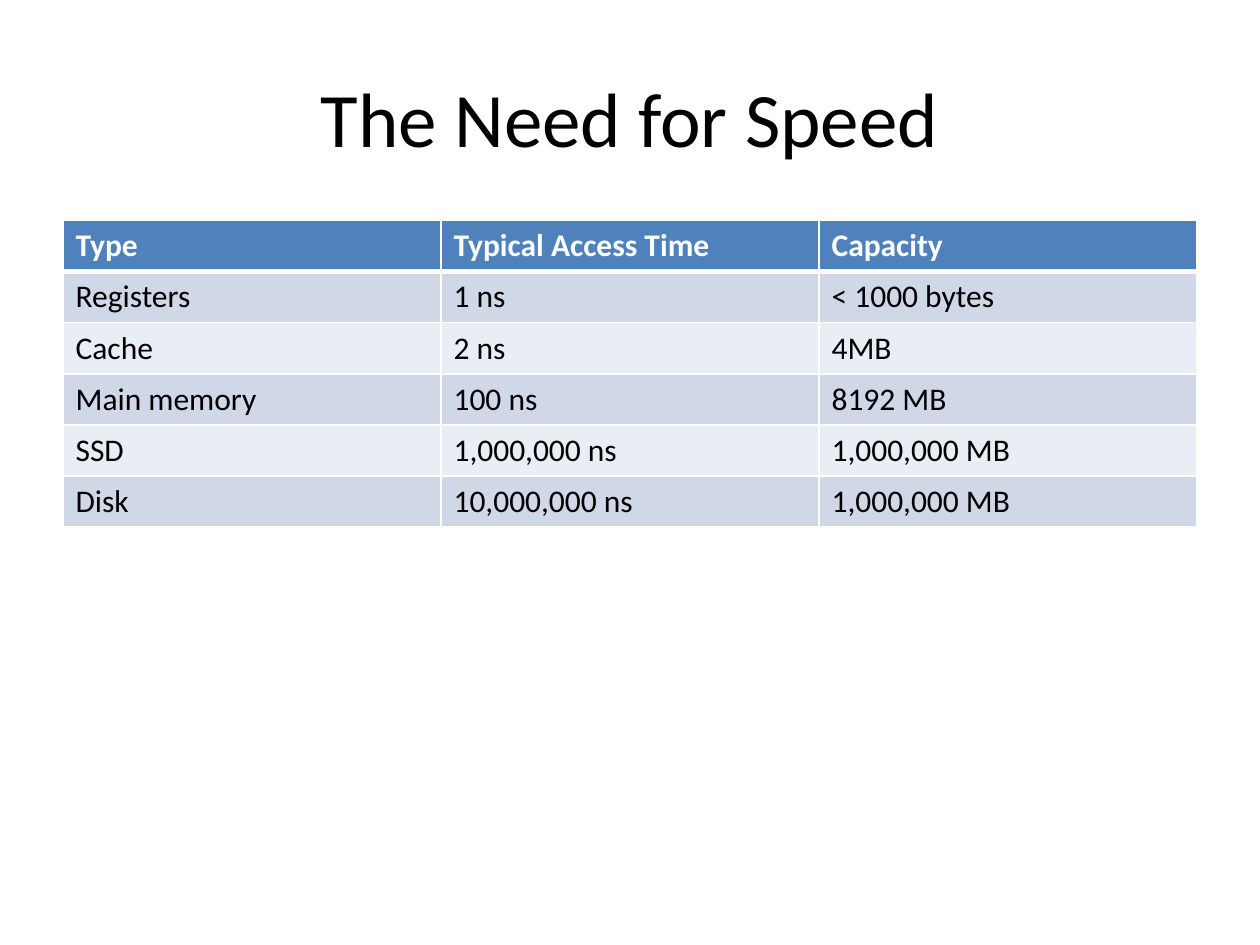
from lxml import etree
from pptx import Presentation
from pptx.dml.color import RGBColor
from pptx.enum.text import MSO_ANCHOR, PP_ALIGN
from pptx.oxml.ns import qn
from pptx.util import Inches, Pt

CENTER = PP_ALIGN.CENTER
MIDDLE = MSO_ANCHOR.MIDDLE
FONT = "Calibri"
COLORS = {
    "text": "000000",
    "header_text": "FFFFFF",
    "header": "4F81BD",
    "odd_row": "D0D8E8",
    "even_row": "E9EDF4",
    "border": "FFFFFF",
}
ROWS = [
    ("Type", "Typical Access Time", "Capacity"),
    ("Registers", "1 ns", "< 1000 bytes"),
    ("Cache", "2 ns", "4MB"),
    ("Main memory", "100 ns", "8192 MB"),
    ("SSD", "1,000,000 ns", "1,000,000 MB"),
    ("Disk", "10,000,000 ns", "1,000,000 MB"),
]


def add_span(para, text, size, color, bold=False):
    span = para.add_run()
    span.text = text
    span.font.name = FONT
    span.font.size = Pt(size)
    span.font.bold = bold
    span.font.color.rgb = RGBColor.from_string(COLORS[color])


def set_borders(cell, widths):
    """Draw the cell's borders; widths maps L, R, T, B (in that order) to points."""
    properties = cell._tc.get_or_add_tcPr()
    for index, (side, width) in enumerate(widths.items()):
        line = etree.Element(qn(f"a:ln{side}"), w=str(Pt(width)))
        fill = etree.SubElement(line, qn("a:solidFill"))
        etree.SubElement(fill, qn("a:srgbClr"), val=COLORS["border"])
        properties.insert(index, line)


deck = Presentation()
deck.slide_width = Inches(10)
deck.slide_height = Inches(7.5)
page = deck.slides.add_slide(deck.slide_layouts[5])

title = page.shapes.title
title.left, title.top = Inches(0.5), Inches(0.3)
title.width, title.height = Inches(9), Inches(1.25)
title.text_frame.vertical_anchor = MIDDLE
title_para = title.text_frame.paragraphs[0]
title_para.alignment = CENTER
add_span(title_para, "The Need for Speed", 44, "text")

table = page.shapes.add_table(
    len(ROWS), len(ROWS[0]), Inches(0.5), Inches(1.75), Inches(9), Inches(2.43)
).table

for row, values in enumerate(ROWS):
    is_header = row == 0
    if is_header:
        fill_color = "header"
    else:
        fill_color = "odd_row" if row % 2 else "even_row"
    text_color = "header_text" if is_header else "text"
    top_width = 3 if row == 1 else 1
    bottom_width = 3 if is_header else 1
    for column, value in enumerate(values):
        cell = table.cell(row, column)
        cell.fill.solid()
        cell.fill.fore_color.rgb = RGBColor.from_string(COLORS[fill_color])
        set_borders(cell, {"L": 1, "R": 1, "T": top_width, "B": bottom_width})
        add_span(cell.text_frame.paragraphs[0], value, 18, text_color, is_header)

deck.save("out.pptx")
